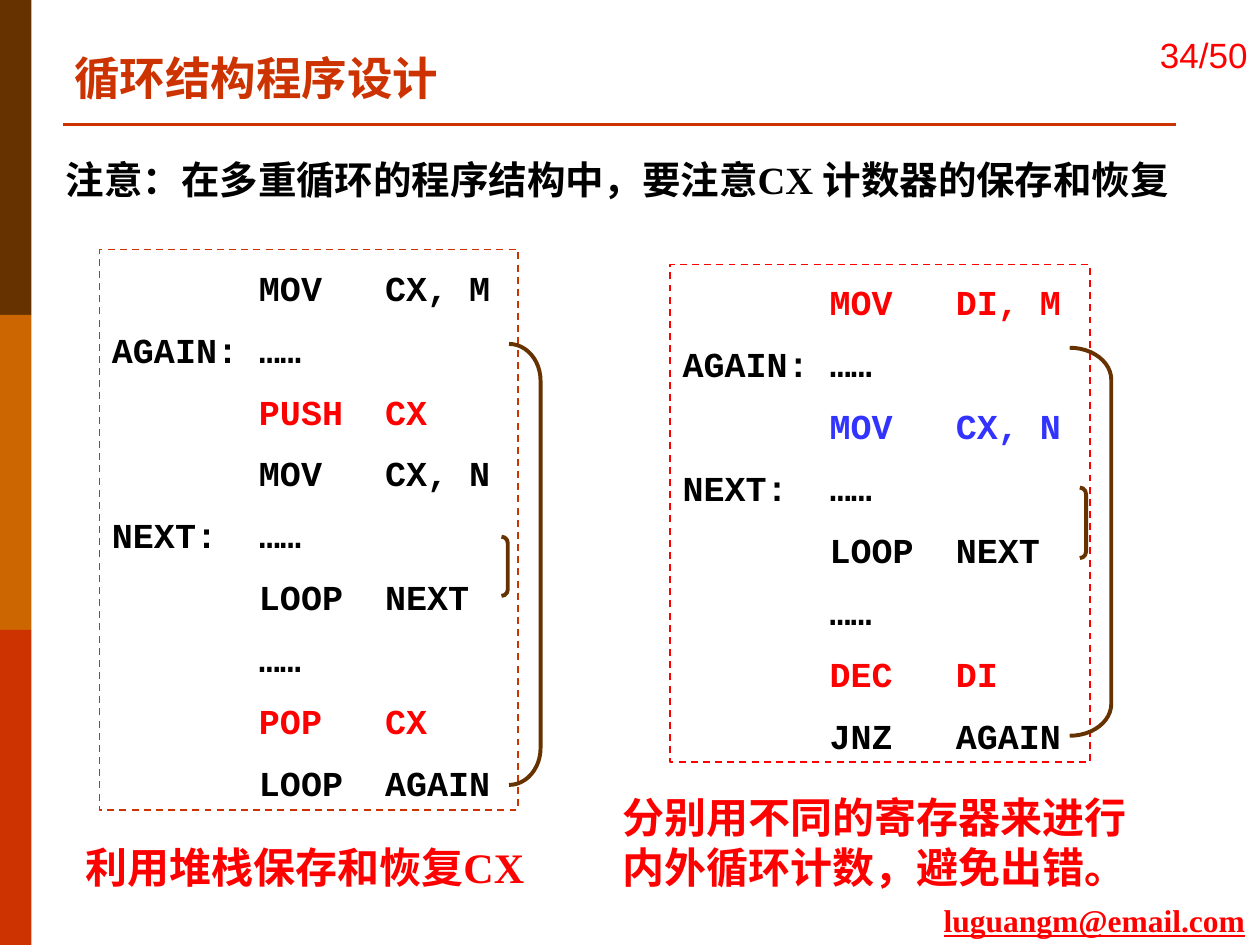
from pptx import Presentation
from pptx.dml.color import RGBColor
from pptx.enum.dml import MSO_LINE
from pptx.enum.shapes import MSO_CONNECTOR, MSO_SHAPE as Kind
from pptx.enum.text import MSO_ANCHOR as Anchor, PP_ALIGN as Align
from pptx.oxml.ns import qn
from pptx.util import Inches, Pt
from lxml import etree

BROWN, ORANGE, RUST = "663300", "CC6600", "CC3300"
RED, BLUE, BLACK = "FF0000", "3333FF", "000000"
SERIF = "Times New Roman"
hue = RGBColor.from_string


def draw(kind, at, fill=None, line=None, width=1):
    shape = page.shapes.add_shape(kind, *map(Inches, at))
    shape.shadow.inherit = False
    if fill:
        shape.fill.solid()
        shape.fill.fore_color.rgb = hue(fill)
    else:
        shape.fill.background()
    if line:
        shape.line.color.rgb = hue(line)
        shape.line.width = Pt(width)
    else:
        shape.line.fill.background()
    return shape


def write(par, text, size, color, **style):
    """Add one run to a paragraph."""
    run = par.add_run()
    run.text = text
    look = {"name": SERIF, "bold": True, "size": Pt(size)} | style
    for key, value in look.items():
        setattr(run.font, key, value)
    run.font.color.rgb = hue(color)


deck = Presentation()
deck.slide_width, deck.slide_height = Inches(10), Inches(7.5)
page = deck.slides.add_slide(deck.slide_layouts[5])

# Side bars and title rule
for row, color in enumerate((BROWN, ORANGE, RUST)):
    draw(Kind.RECTANGLE, (0, 2.5 * row, 0.25, 2.5), fill=color)
rule = page.shapes.add_connector(
    MSO_CONNECTOR.STRAIGHT, Inches(0.5), Inches(0.99), Inches(9.33), Inches(0.99))
rule.line.color.rgb = hue(RUST)
rule.line.width = Pt(1.5)
etree.SubElement(rule._element.spPr, qn("a:effectLst"))

# Title
title = page.shapes.title
title.left, title.top = Inches(0.49), Inches(0.35)
title.width, title.height = Inches(6.99), Inches(0.54)
title.text_frame.vertical_anchor = Anchor.TOP
head = title.text_frame.paragraphs[0]
head.alignment = Align.LEFT
write(head, "循环结构程序设计", 26, RUST)

# Plain texts: place, text, size, colour, alignment, anchor, wrap, font changes
notes = [
    ((7.39, 7.1, 2.61, 0.4), "luguangm@email.com", 18, RED,
     Align.LEFT, Anchor.TOP, False, {"underline": True}),
    ((8.78, 0.01, 1.22, 0.84), "34/50", 20, RED,
     Align.RIGHT, Anchor.MIDDLE, True, {"name": "Arial", "bold": False}),
    ((0.35, 1.19, 9.1, 0.47), "注意：在多重循环的程序结构中，要注意CX 计数器的保存和恢复",
     22, BLACK, Align.CENTER, Anchor.MIDDLE, False, {}),
    ((0.58, 6.63, 3.73, 0.5), "利用堆栈保存和恢复CX", 24, RED,
     Align.LEFT, Anchor.TOP, True, {}),
    ((4.84, 6.23, 4.28, 0.91), "分别用不同的寄存器来进行内外循环计数，避免出错。", 24, RED,
     Align.LEFT, Anchor.TOP, True, {}),
]
for at, text, size, color, align, anchor, wrap, style in notes:
    frame = page.shapes.add_textbox(*map(Inches, at)).text_frame
    frame.word_wrap, frame.vertical_anchor = wrap, anchor
    par = frame.paragraphs[0]
    par.alignment = align
    write(par, text, size, color, **style)

# Code boxes: place, border, lines with colours
codes = [
    ((0.79, 1.98, 3.32, 4.45), RUST, [
        (" MOV   CX, M", BLACK),
        ("AGAIN: ……", BLACK),
        (" PUSH  CX", RED),
        (" MOV   CX, N", BLACK),
        ("NEXT:  ……", BLACK),
        (" LOOP  NEXT", BLACK),
        (" ……", BLACK),
        (" POP   CX", RED),
        (" LOOP  AGAIN", BLACK),
    ]),
    ((5.32, 2.1, 3.33, 3.95), RED, [
        (" MOV   DI, M", RED),
        ("AGAIN: ……", BLACK),
        (" MOV   CX, N", BLUE),
        ("NEXT:  ……", BLACK),
        (" LOOP  NEXT", BLACK),
        (" ……", BLACK),
        (" DEC   DI", RED),
        (" JNZ   AGAIN", BLACK),
    ]),
]
for at, border, lines in codes:
    box = draw(Kind.RECTANGLE, at, line=border)
    box.line.dash_style = MSO_LINE.DASH
    frame = box.text_frame
    frame.word_wrap, frame.vertical_anchor = True, Anchor.MIDDLE
    frame.margin_top = Inches(0.13)
    for row, (text, color) in enumerate(lines):
        par = frame.add_paragraph() if row else frame.paragraphs[0]
        par.alignment = Align.LEFT
        if row:
            par.space_before = Pt(11.4)
        if text.startswith(" "):  # instructions sit one inch right of labels
            par.level = 1
            par._p.get_or_add_pPr().set("marL", str(Inches(1)))
        write(par, text, 20, color, name="Courier New")

# Loop brackets: place, corner size
loops = [
    ((3.98, 4.26, 0.05, 0.47), 1),
    ((4.04, 2.73, 0.25, 3.5), 1.17),
    ((8.57, 3.87, 0.05, 0.56), 1.08),
    ((8.49, 2.76, 0.33, 3.08), 0.77),
]
for at, bend in loops:
    draw(Kind.RIGHT_BRACKET, at, line=BROWN, width=2.25).adjustments[0] = bend

deck.save("out.pptx")
